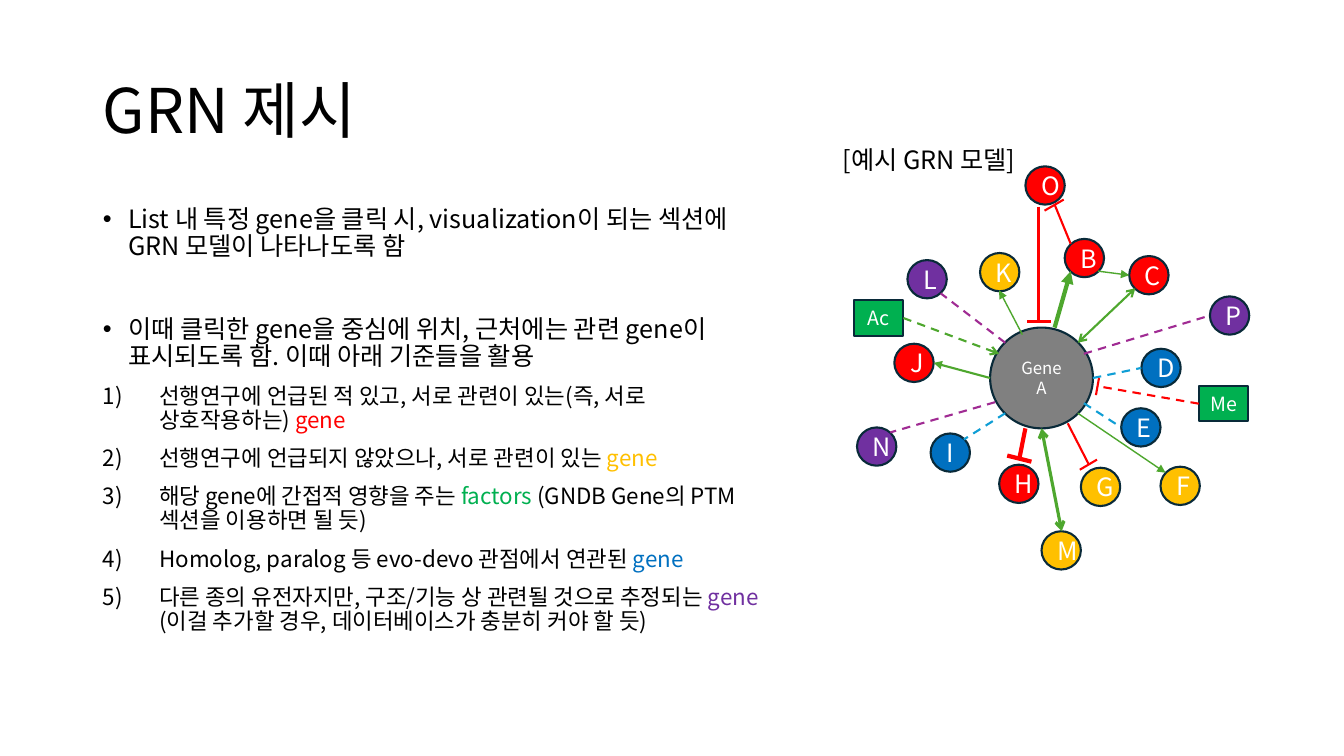
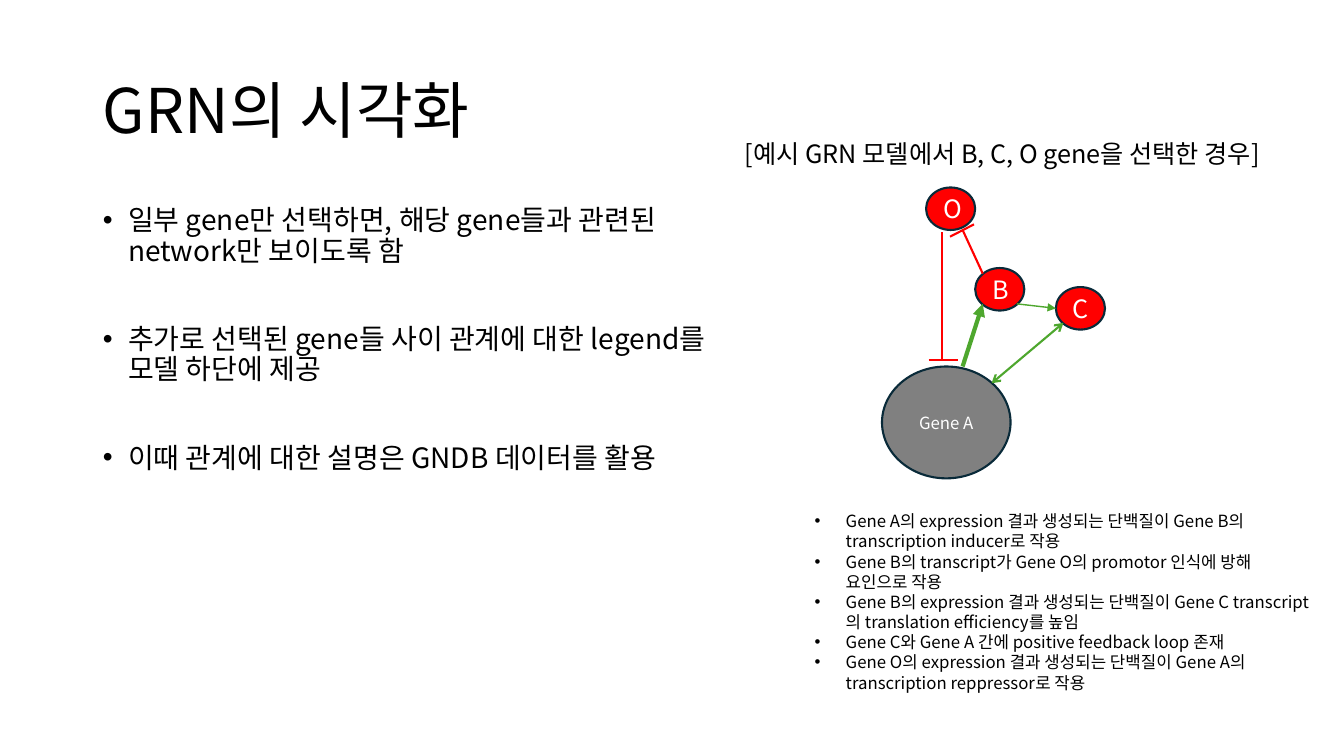
"""Build two slides on presenting and visualising a gene regulatory network."""
from dataclasses import dataclass

from lxml import etree
from pptx import Presentation
from pptx import util as u
from pptx.dml.color import RGBColor
from pptx.enum import dml, shapes, text
from pptx.oxml import ns


@dataclass(frozen=True)
class Theme:
    """Fonts, type sizes and colours shared by the slides."""
    font: str = "Noto Sans CJK KR"
    title_size: int = 44
    letter_size: int = 18
    factor_size: int = 14
    small_size: int = 12
    caption_size: int = 18
    criteria_size: int = 16
    black: str = "000000"
    white: str = "FFFFFF"
    outline: str = "092A39"
    gray: str = "808080"
    red: str = "FF0000"
    gold: str = "FFC000"
    green: str = "00B050"
    blue: str = "0070C0"
    purple: str = "7030A0"
    activation: str = "4EA72E"
    homology: str = "0F9ED5"
    prediction: str = "A02B93"


@dataclass(frozen=True)
class Box:
    """A region in inches, with the scale of what it holds."""
    left: float
    top: float
    width: float = 0
    height: float = 0
    scale_x: float = 1
    scale_y: float = 1

    def point(self, x, y):
        """Return the slide position of a point inside the region."""
        return (u.Inches(self.left + x * self.scale_x),
                u.Inches(self.top + y * self.scale_y))

    def size(self, width, height):
        """Return a scaled width and height."""
        return u.Inches(width * self.scale_x), u.Inches(height * self.scale_y)

    def frame(self):
        """Return left, top, width and height as lengths."""
        return [u.Inches(n) for n in (self.left, self.top, self.width, self.height)]


@dataclass(frozen=True)
class Link:
    """A relation between two nodes, drawn from start to end."""
    ends: str
    start: tuple
    end: tuple
    colour: str
    width: float = 1.5
    head: str = ""
    tail: str = ""
    dashed: bool = False
    bar: tuple = ()


THEME = Theme()
TITLE_BOX = Box(0.92, 0.4, 11.5, 1.45)
GENE_SIZE = (0.39, 0.38)
HUB_SIZE = (1.02, 1)
FACTOR_SIZE = (0.49, 0.35)

GENES = {
    THEME.red: {"B": (2.09, 0.72), "C": (2.73, 0.89), "J": (0.4, 1.76),
                "H": (1.44, 2.96), "O": (1.7, 0)},
    THEME.gold: {"K": (1.25, 0.86), "F": (3.04, 2.98), "G": (2.25, 2.99),
                 "M": (1.86, 3.62)},
    THEME.blue: {"D": (2.85, 1.81), "I": (0.76, 2.65), "E": (2.65, 2.4)},
    THEME.purple: {"L": (0.53, 0.93), "P": (3.53, 1.29), "N": (0.03, 2.59)},
}
HUB = {"Gene A": (1.35, 1.6)}
FACTORS = {"Ac": (0, 1.33), "Me": (3.42, 2.18)}
FACTOR_SIDES = {"Ac": 3, "Me": 1}

LINKS = [
    Link("A B", (1.99, 1.6), (2.15, 1.04), THEME.activation, 3, tail="triangle"),
    Link("B C", (2.42, 1.04), (2.73, 1.08), THEME.activation, 1, tail="triangle"),
    Link("A J", (1.35, 2.1), (0.79, 1.95), THEME.activation, tail="triangle"),
    Link("B O", (2.15, 0.77), (1.99, 0.38), THEME.red,
         bar=((1.89, 0.44), (2.08, 0.33))),
    Link("A H", (1.7, 2.6), (1.64, 2.9), THEME.red, 3,
         bar=((1.52, 2.87), (1.76, 2.93))),
    Link("A K", (1.67, 1.67), (1.44, 1.23), THEME.activation, 1, tail="triangle"),
    Link("A L", (1.5, 1.75), (0.86, 1.26), THEME.prediction, dashed=True),
    Link("A N", (1.4, 2.34), (0.36, 2.64), THEME.prediction, dashed=True),
    Link("A P", (2.28, 1.86), (3.53, 1.48), THEME.prediction, dashed=True),
    Link("A I", (1.5, 2.45), (1.09, 2.71), THEME.homology, dashed=True),
    Link("A E", (2.28, 2.35), (2.65, 2.59), THEME.homology, dashed=True),
    Link("A D", (2.37, 2.1), (2.85, 2), THEME.homology, dashed=True),
    Link("A F", (2.22, 2.45), (3.09, 3.04), THEME.activation, 1, tail="triangle"),
    Link("A G", (2.12, 2.55), (2.33, 2.96), THEME.red,
         bar=((2.24, 3.01), (2.41, 2.91))),
    Link("A C", (2.22, 1.75), (2.79, 1.21), THEME.activation,
         head="arrow", tail="arrow"),
    Link("O A", (1.83, 0.4), (1.83, 1.55), THEME.red,
         bar=((1.72, 1.54), (1.95, 1.54))),
    Link("A M", (1.86, 2.6), (2.06, 3.62), THEME.activation, 2.25,
         head="arrow", tail="arrow"),
    Link("Ac A", (0.49, 1.5), (1.44, 1.86), THEME.activation,
         tail="arrow", dashed=True),
    Link("Me A", (3.42, 2.36), (2.41, 2.18), THEME.red, dashed=True,
         bar=((2.43, 2.1), (2.4, 2.27))),
]

CRITERIA = [
    [("선행연구에 언급된 적 있고, 서로 관련이 있는(즉, 서로 상호작용하는) ", THEME.black),
     ("gene", THEME.red)],
    [("선행연구에 언급되지 않았으나, 서로 관련이 있는 ", THEME.black),
     ("gene", THEME.gold)],
    [("해당 gene에 간접적 영향을 주는 ", THEME.black), ("factors", THEME.green),
     (" (GNDB Gene의 PTM 섹션을 이용하면 될 듯)", THEME.black)],
    [("Homolog, paralog 등 evo-devo 관점에서 연관된 ", THEME.black),
     ("gene", THEME.blue)],
    [("다른 종의 유전자지만, 구조/기능 상 관련될 것으로 추정되는 ", THEME.black),
     ("gene", THEME.purple),
     (" (이걸 추가할 경우, 데이터베이스가 충분히 커야 할 듯)", THEME.black)],
]
LEGEND = [
    "Gene A의 expression 결과 생성되는 단백질이 Gene B의 transcription inducer로 작용",
    "Gene B의 transcript가 Gene O의 promotor 인식에 방해 요인으로 작용",
    "Gene B의 expression 결과 생성되는 단백질이 Gene C transcript의 translation efficiency를 높임",
    "Gene C와 Gene A 간에 positive feedback loop 존재",
    "Gene O의 expression 결과 생성되는 단백질이 Gene A의 transcription reppressor로 작용",
]


def add_xml(parent, tag, **attributes):
    """Append a drawing element to a parent element."""
    return etree.SubElement(parent, ns.qn(tag), attributes)


def write(frame, content, size, colour=THEME.black, align=text.PP_ALIGN.LEFT,
          spacing=1.0, before=0, indent=0, bullet=""):
    """Write one paragraph, given as a string or as (text, colour) runs."""
    paragraph = frame.paragraphs[0]
    if paragraph.runs:
        paragraph = frame.add_paragraph()
    paragraph.alignment = align
    paragraph.line_spacing = spacing
    paragraph.space_before = u.Pt(before)
    if bullet:
        properties = paragraph._p.get_or_add_pPr()
        properties.set("marL", str(u.Inches(indent)))
        properties.set("indent", str(-u.Inches(indent)))
        if bullet == "number":
            add_xml(properties, "a:buFont", typeface="+mj-lt")
            add_xml(properties, "a:buAutoNum", type="arabicParenR")
        else:
            add_xml(properties, "a:buFont", typeface="Arial")
            add_xml(properties, "a:buChar", char=bullet)
    runs = [(content, colour)] if isinstance(content, str) else content
    for words, run_colour in runs:
        run = paragraph.add_run()
        run.text = words
        run.font.size = u.Pt(size)
        run.font.color.rgb = RGBColor.from_string(run_colour)
        run.font.name = THEME.font
        add_xml(run._r.get_or_add_rPr(), "a:ea", typeface=THEME.font)


def place(placeholder, box, anchor):
    """Move a placeholder into a box and return its text frame."""
    placeholder.left, placeholder.top, placeholder.width, placeholder.height = box.frame()
    frame = placeholder.text_frame
    frame.vertical_anchor = anchor
    frame.auto_size = text.MSO_AUTO_SIZE.NONE
    return frame


def add_text_box(slide, box):
    """Add a wrapping text box and return its text frame."""
    frame = slide.shapes.add_textbox(*box.frame()).text_frame
    frame.word_wrap = True
    return frame


def add_node(group, box, label, position, size, fill, type_size,
             kind=shapes.MSO_SHAPE.OVAL):
    """Add a labelled node of the network."""
    node = group.add_shape(kind, *box.point(*position), *box.size(*size))
    node.shadow.inherit = False
    node.fill.solid()
    node.fill.fore_color.rgb = RGBColor.from_string(fill)
    node.line.color.rgb = RGBColor.from_string(THEME.outline)
    node.line.width = u.Pt(1.5)
    write(node.text_frame, label, type_size, THEME.white, text.PP_ALIGN.CENTER)
    return node


def add_line(group, box, start, end, link, plain=False):
    """Add a straight connector, plain or with the link's dash and arrowheads."""
    connector = group.add_connector(shapes.MSO_CONNECTOR.STRAIGHT,
                                    *box.point(*start), *box.point(*end))
    connector.line.color.rgb = RGBColor.from_string(link.colour)
    connector.line.width = u.Pt(link.width)
    if not plain:
        if link.dashed:
            connector.line.dash_style = dml.MSO_LINE.DASH
        for tag, arrow in (("a:headEnd", link.head), ("a:tailEnd", link.tail)):
            if arrow:
                add_xml(connector.line._get_or_add_ln(), tag, type=arrow)
    add_xml(connector._element.spPr, "a:effectLst")
    return connector


def add_network(slide, box, selected=None):
    """Draw the network, or only Gene A with the selected genes."""
    group = slide.shapes.add_group_shape().shapes
    nodes = {}
    for label, position in HUB.items():
        nodes["A"] = add_node(group, box, label, position, HUB_SIZE,
                              THEME.gray, THEME.small_size)
    for fill, genes in GENES.items():
        for label, position in genes.items():
            if selected is None or label in selected:
                nodes[label] = add_node(group, box, label, position, GENE_SIZE,
                                        fill, THEME.letter_size)
    if selected is None:
        for label, position in FACTORS.items():
            nodes[label] = add_node(group, box, label, position, FACTOR_SIZE, THEME.green,
                                    THEME.factor_size, shapes.MSO_SHAPE.RECTANGLE)
    for link in LINKS:
        source, target = link.ends.split()
        if source in nodes and target in nodes:
            connector = add_line(group, box, link.start, link.end, link)
            if source in FACTOR_SIDES:
                connector.begin_connect(nodes[source], FACTOR_SIDES[source])
            if link.bar:
                add_line(group, box, *link.bar, link, plain=True)


def add_content_slide(presentation, title, points, size, width, gap):
    """Add a slide with a title and spaced bullet points."""
    slide = presentation.slides.add_slide(presentation.slide_layouts[1])
    write(place(slide.shapes.title, TITLE_BOX, text.MSO_ANCHOR.MIDDLE),
          title, THEME.title_size, spacing=0.9)
    body = place(slide.placeholders[1], Box(0.92, 2, width, 4.76), text.MSO_ANCHOR.TOP)
    for index, point in enumerate(points):
        write(body, point, size, spacing=0.9, before=gap if index else 10,
              indent=0.25, bullet="•")
    return slide, body


def add_model_slide(presentation):
    """Add the slide with the whole network and its criteria."""
    slide, body = add_content_slide(presentation, "GRN 제시", [
        "List 내 특정 gene을 클릭 시, visualization이 되는 섹션에 GRN 모델이 나타나도록 함",
        "이때 클릭한 gene을 중심에 위치, 근처에는 관련 gene이 표시되도록 함. 이때 아래 기준들을 활용",
    ], size=18, width=6.85, gap=39.5)
    for criterion in CRITERIA:
        write(body, criterion, THEME.criteria_size, spacing=0.9, before=10,
              indent=0.56, bullet="number")
    add_network(slide, Box(8.47, 1.65))
    write(add_text_box(slide, Box(8.26, 1.38, 2.07, 0.4)),
          "[예시 GRN 모델]", THEME.caption_size)


def add_selection_slide(presentation):
    """Add the slide with the selected genes and their legend."""
    slide, _ = add_content_slide(presentation, "GRN의 시각화", [
        "일부 gene만 선택하면, 해당 gene들과 관련된 network만 보이도록 함",
        "추가로 선택된 gene들 사이 관계에 대한 legend를 모델 하단에 제공",
        "이때 관계에 대한 설명은 GNDB 데이터를 활용",
    ], size=20, width=6.4, gap=41.5)
    add_network(slide, Box(7.06, 1.86, scale_x=1.25, scale_y=1.11), selected="BCO")
    write(add_text_box(slide, Box(7.29, 1.32, 5.81, 0.4)),
          "[예시 GRN 모델에서 B, C, O gene을 선택한 경우]", THEME.caption_size)
    legend = add_text_box(slide, Box(7.98, 5.02, 5.12, 1.92))
    for entry in LEGEND:
        write(legend, entry, THEME.small_size, indent=0.31, bullet="•")


def main():
    """Build and save the presentation."""
    presentation = Presentation()
    presentation.slide_width, presentation.slide_height = u.Inches(13.33), u.Inches(7.5)
    add_model_slide(presentation)
    add_selection_slide(presentation)
    presentation.save("out.pptx")


if __name__ == "__main__":
    main()
